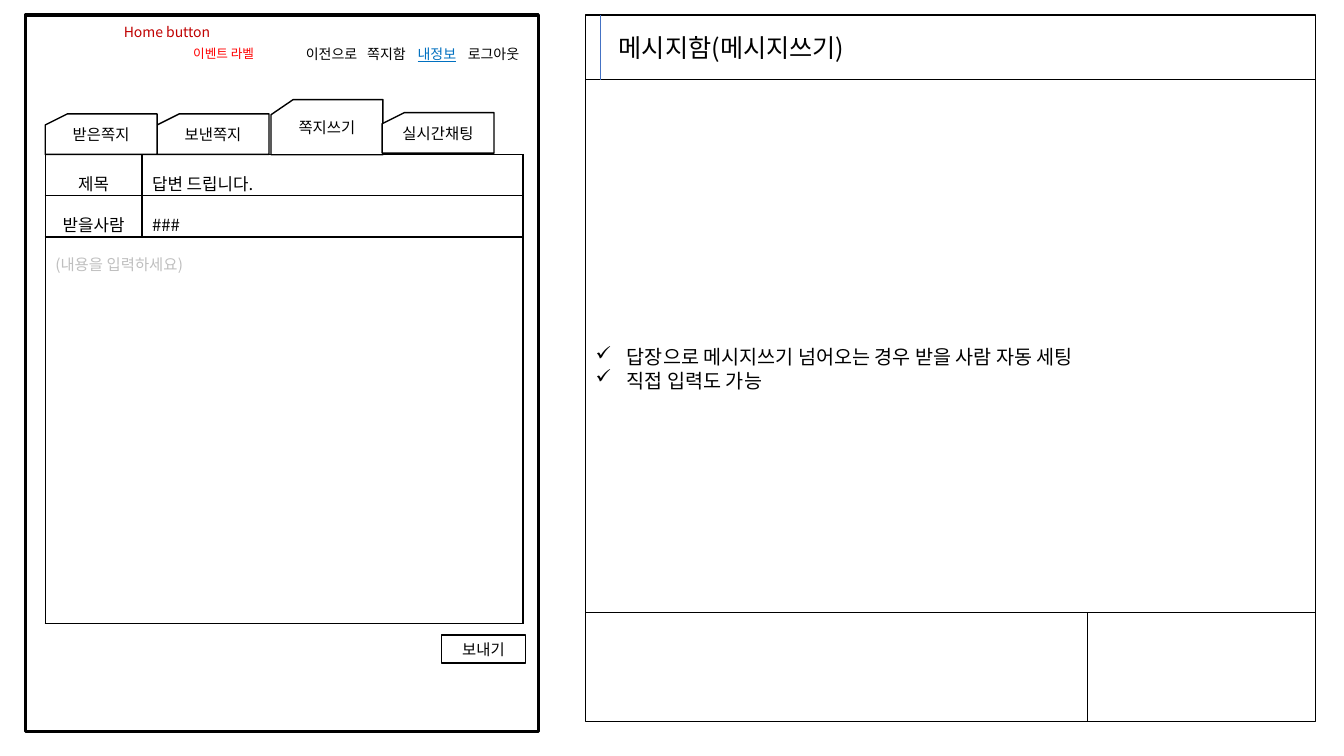
import pptx
import pptx.util
import pptx.oxml
import pptx.oxml.ns
import pptx.dml.color
import pptx.enum.text
import pptx.enum.shapes

Cm, Pt = pptx.util.Cm, pptx.util.Pt
Shape = pptx.enum.shapes.MSO_SHAPE
Anchor = pptx.enum.text.MSO_ANCHOR
Align = pptx.enum.text.PP_ALIGN
Auto = pptx.enum.text.MSO_AUTO_SIZE

FONT = "Noto Sans CJK KR"
HUES = {"ink": "000000", "paper": "FFFFFF", "rule": "4472C4", "link": "0070C0",
        "home": "C00000", "event": "FF0000", "hint": "BFBFBF"}

TITLE = ("메시지함(메시지쓰기)", (15.34, 0.69, 10.01, 1.02))
NOTES = ["답장으로 메시지쓰기 넘어오는 경우 받을 사람 자동 세팅", "직접 입력도 가능"]
PANEL = (14.76, 0.38, 18.39, 17.81)
HEAD, FOOT, BAR, SPLIT = 2.01, 15.44, 15.14, 27.41
FRAME = (0.64, 0.38, 12.93, 18.06)
SEND = ("보내기", (11.13, 16, 2.11, 0.71))
MENU = [("이전으로", 7.34, 2.03, "ink"), ("쪽지함", 8.84, 1.8, "ink"),
        ("내정보", 10.11, 1.8, "link"), ("로그아웃", 11.38, 2.11, "ink")]
LABELS = [("Home button", (2.87, 0.46, 2.69, 0.69), 10, "home", False),
          ("이벤트 라벨", (4.62, 1.02, 2.72, 0.64), 9, "event", True)]
TABS = [("보낸쪽지", 3.96, 2.87, 1.02), ("쪽지쓰기", 6.83, 2.51, 1.39),
        ("받은쪽지", 1.14, 2.87, 1.02), ("실시간채팅", 9.63, 2.84, 1.02)]
TAB_W, CUT_W, CUT_H = 2.82, 0.56, 0.275
FORM = [("제목", "답변 드립니다."), ("받을사람", "###"), ("(내용을 입력하세요)", "")]
FORM_AT, COLS, ROWS = (1.14, 3.89), (2.44, 9.6), (1.04, 1.04, 9.75)


def color(name):
    return pptx.dml.color.RGBColor.from_string(HUES[name])


def place(box):
    return [Cm(v) for v in box]


def node(tag, **attrs):
    item = pptx.oxml.parse_xml(f"<a:{tag} {pptx.oxml.ns.nsdecls('a')}/>")
    for key, val in attrs.items():
        item.set(key, str(val))
    return item


def write(frame, lines, size, hue="ink", align=Align.LEFT, gap=1, bullet=None, **more):
    frame.text = "\n".join(lines)
    for para in frame.paragraphs:
        if bullet:
            props = para._p.get_or_add_pPr()
            props.set("marL", str(Cm(0.79)))
            props.set("indent", str(-Cm(0.79)))
            props.append(node("buChar", char=bullet))
        para.alignment, para.line_spacing = align, gap
        for run in para.runs:
            for key, val in dict(name=FONT, size=Pt(size), **more).items():
                setattr(run.font, key, val)
            run.font.color.rgb = color(hue)
            run._r.get_or_add_rPr().append(node("ea", typeface=FONT))


def dress(shape, width=1, fill="paper"):
    shape.shadow.inherit = False
    if fill:
        shape.fill.solid()
        shape.fill.fore_color.rgb = color(fill)
    else:
        shape.fill.background()
    shape.line.color.rgb = color("ink")
    shape.line.width = Pt(width)
    shape.text_frame.vertical_anchor = Anchor.MIDDLE
    return shape


def rect(box, **look):
    return dress(shapes.add_shape(Shape.RECTANGLE, *place(box)), **look)


def rule(ends, hue="ink"):
    line = shapes.add_connector(pptx.enum.shapes.MSO_CONNECTOR.STRAIGHT, *place(ends))
    line.line.color.rgb = color(hue)
    line.line.width = Pt(0.5)
    line._element.spPr.append(node("effectLst"))


def label(text, box, size, hue, wrap=True, grow=True, **more):
    frame = shapes.add_textbox(*place(box)).text_frame
    write(frame, [text], size, hue, **more)
    frame.word_wrap = wrap
    frame.auto_size = Auto.SHAPE_TO_FIT_TEXT if grow else Auto.NONE
    frame.vertical_anchor = Anchor.TOP if grow else Anchor.MIDDLE


def border(cell):
    props = cell._tc.get_or_add_tcPr()
    for side in ("lnL", "lnR", "lnT", "lnB"):
        edge = node(side, w=Pt(1))
        fill = node("solidFill")
        fill.append(node("srgbClr", val=HUES["ink"]))
        edge.append(fill)
        props.append(edge)


def form():
    table = shapes.add_table(len(ROWS), len(COLS), *place(FORM_AT),
                             Cm(sum(COLS)), Cm(sum(ROWS))).table
    table.first_row = table.horz_banding = False
    for col, width in zip(table.columns, COLS):
        col.width = Cm(width)
    for row, height in zip(table.rows, ROWS):
        row.height = Cm(height)
    last = len(ROWS) - 1
    table.cell(last, 0).merge(table.cell(last, 1))
    for r, texts in enumerate(FORM):
        for c, text in enumerate(texts):
            cell = table.cell(r, c)
            border(cell)
            cell.fill.background()
            cell.margin_top, cell.margin_bottom = Cm(0.1), 0
            if text:
                look = (11, "hint") if r == last else (12, "ink")
                align = Align.CENTER if c == 0 and r < last else Align.LEFT
                write(cell.text_frame, [text], *look, align=align, gap=1.5)


def tab(text, left, top, height):
    right, base, notch = left + TAB_W, top + height, top + height * CUT_H
    spots = [(left + CUT_W, top), (right, top), (right, base), (left, base)]
    build = shapes.build_freeform(Cm(left), Cm(notch))
    build.add_line_segments([place(spot) for spot in spots], close=True)
    shape = dress(build.convert_to_shape())
    write(shape.text_frame, [text], 11, align=Align.CENTER)


deck = pptx.Presentation()
deck.slide_width, deck.slide_height = Cm(33.87), Cm(19.05)
slide = deck.slides.add_slide(deck.slide_layouts[5])
shapes = slide.shapes

panel = rect(PANEL)
write(panel.text_frame, NOTES, 14, bullet="✓")
left, top, width, height = PANEL
right, base = left + width, top + height
rule((left, HEAD, right, HEAD))
rule((BAR, top, BAR, HEAD), "rule")
rule((left, FOOT, right, FOOT))
rule((SPLIT, FOOT, SPLIT, base))

title = shapes.title
title.left, title.top, title.width, title.height = place(TITLE[1])
write(title.text_frame, [TITLE[0]], 18)
for key, val in dict(word_wrap=True, auto_size=Auto.NONE, vertical_anchor=Anchor.TOP).items():
    setattr(title.text_frame, key, val)
panel._element.getparent().append(title._element)

form()
write(rect(SEND[1]).text_frame, [SEND[0]], 11, align=Align.CENTER)
rect(FRAME, width=2.25, fill=None)
for text, x, wide, hue in MENU:
    label(text, (x, 0.86, wide, 0.99), 10, hue, grow=False,
          align=Align.CENTER, underline=hue == "link")
for item in LABELS:
    label(*item)
for item in TABS:
    tab(*item)

deck.save("out.pptx")
